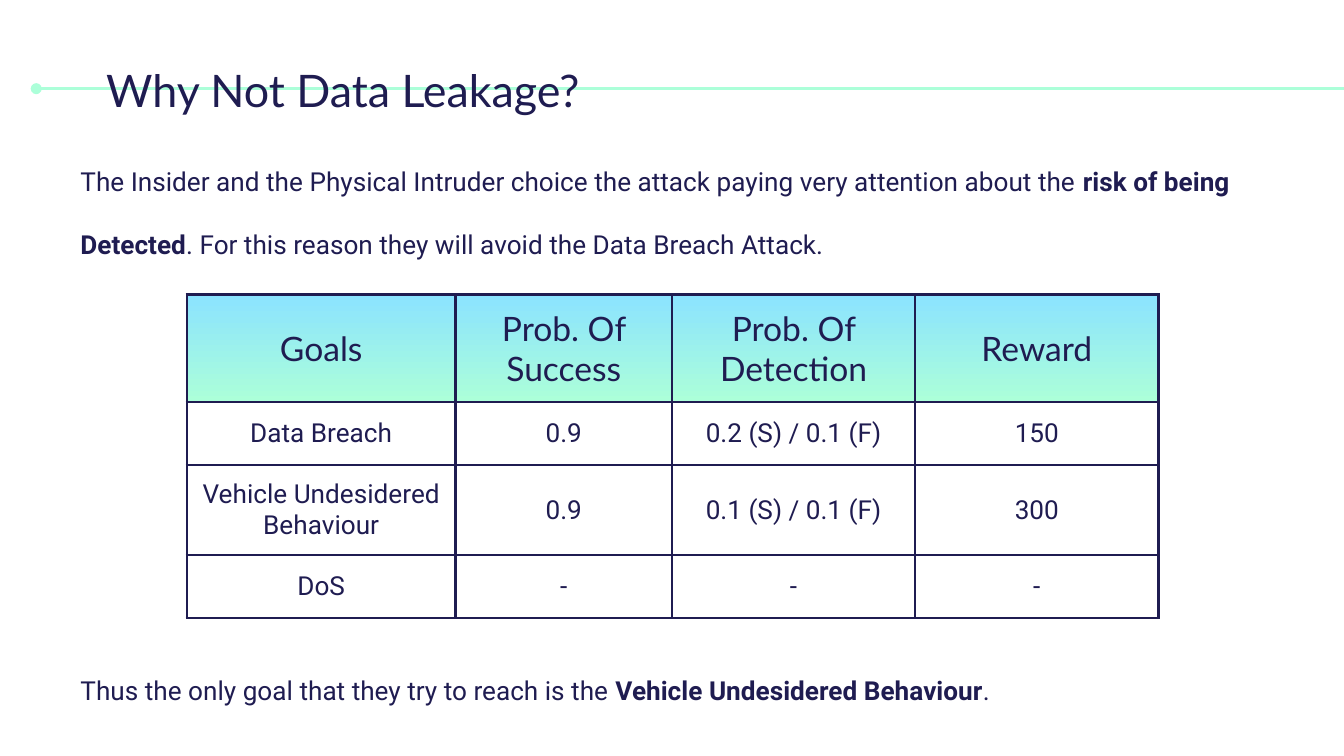
"""Build the slide explaining why data leakage is not a chosen goal."""
import pptx
import pptx.util
import pptx.dml.color
import pptx.enum.shapes
import pptx.enum.text
import pptx.oxml
import pptx.oxml.ns

Inches = pptx.util.Inches
RGBColor = pptx.dml.color.RGBColor
NAVY = RGBColor(0x1F, 0x1C, 0x51)
MINT = RGBColor(0xAC, 0xFF, 0xD9)
SKY = RGBColor(0x8B, 0xE3, 0xFF)
WHITE = RGBColor(0xFF, 0xFF, 0xFF)
NAMESPACE = pptx.oxml.ns.nsdecls("a")
MIDDLE = pptx.enum.text.MSO_ANCHOR.MIDDLE
CENTER = pptx.enum.text.PP_ALIGN.CENTER
LEFT = pptx.enum.text.PP_ALIGN.LEFT
MARGINS = {f"margin_{side}": Inches(0.1) for side in ("left", "right", "top", "bottom")}
TITLE_FONT = {"name": "Lato", "size": pptx.util.Pt(24)}
HEADER_FONT = {"name": "Lato", "size": pptx.util.Pt(18)}
BODY_FONT = {"name": "Roboto", "size": pptx.util.Pt(14)}


def set_attributes(target, values):
    for name, value in values.items():
        setattr(target, name, value)


def add_runs(paragraph, font, alignment, *pieces):
    paragraph.alignment = alignment
    for index, piece in enumerate(pieces):
        run = paragraph.add_run()
        run.text = piece
        set_attributes(run.font, {**font, "bold": index % 2 == 1})
        run.font.color.rgb = NAVY


presentation = pptx.Presentation()
set_attributes(presentation, {"slide_width": Inches(10), "slide_height": Inches(10 * 9 / 16)})
slide = presentation.slides.add_slide(presentation.slide_layouts[5])

title = slide.shapes.title
set_attributes(title, {"left": Inches(0.69), "top": Inches(0.37),
                       "width": Inches(6.65), "height": Inches(0.59)})
set_attributes(title.text_frame, {**MARGINS, "word_wrap": True, "vertical_anchor": MIDDLE,
                                  "auto_size": pptx.enum.text.MSO_AUTO_SIZE.NONE})
add_runs(title.text_frame.paragraphs[0], TITLE_FONT, LEFT, "Why Not Data Leakage?")

title_line = slide.shapes.add_connector(
    pptx.enum.shapes.MSO_CONNECTOR.STRAIGHT, Inches(0.27), Inches(0.66), Inches(10), Inches(0.66))
title_line.line.width = pptx.util.Pt(1.5)
title_line.line.color.rgb = MINT
title_line.line._get_or_add_ln().append(
    pptx.oxml.parse_xml(f'<a:headEnd {NAMESPACE} type="oval"/>'))
title_line._element.spPr.append(pptx.oxml.parse_xml(f"<a:effectLst {NAMESPACE}/>"))
title._element.addprevious(title_line._element)

introduction = slide.shapes.add_textbox(Inches(0.5), Inches(0.9), Inches(8.81), Inches(1.15))
set_attributes(introduction.text_frame, {**MARGINS, "word_wrap": True})
paragraph = introduction.text_frame.paragraphs[0]
set_attributes(paragraph, {"line_spacing": 2.0, "space_after": pptx.util.Pt(16)})
add_runs(paragraph, BODY_FONT, LEFT,
         "The Insider and the Physical Intruder choice the attack paying very attention about the ",
         "risk of being Detected",
         ". For this reason they will avoid the Data Breach Attack.")

conclusion = slide.shapes.add_textbox(Inches(0.5), Inches(4.97), Inches(8.72), Inches(0.57))
conclusion.text_frame.word_wrap = True
add_runs(conclusion.text_frame.paragraphs[0], BODY_FONT, LEFT,
         "Thus the only goal that they try to reach is the ",
         "Vehicle Undesidered Behaviour", ".")

goals = [
    ["Goals", "Prob. Of Success", "Prob. Of Detection", "Reward"],
    ["Data Breach", "0.9", "0.2 (S) / 0.1 (F)", "150"],
    ["Vehicle Undesidered Behaviour", "0.9", "0.1 (S) / 0.1 (F)", "300"],
    ["DoS", "-", "-", "-"],
]
column_widths = [2, 1.61, 1.81, 1.81]
row_heights = [0.8, 0.47, 0.67, 0.47]
table = slide.shapes.add_table(
    len(goals), len(column_widths), Inches(1.39), Inches(2.19),
    Inches(sum(column_widths)), Inches(sum(row_heights))).table
for column, width in zip(table.columns, column_widths):
    column.width = Inches(width)
for row, height in zip(table.rows, row_heights):
    row.height = Inches(height)

for row_index, values in enumerate(goals):
    for column_index, value in enumerate(values):
        cell = table.cell(row_index, column_index)
        set_attributes(cell, {**MARGINS, "vertical_anchor": MIDDLE})
        font = BODY_FONT if row_index else HEADER_FONT
        add_runs(cell.text_frame.paragraphs[0], font, CENTER, value)
        if row_index:
            cell.fill.solid()
            cell.fill.fore_color.rgb = WHITE
        else:
            cell.fill.gradient()
            cell.fill.gradient_angle = 270
            for stop, color in zip(cell.fill.gradient_stops, (SKY, MINT)):
                stop.color.rgb = color
        properties = cell._tc.get_or_add_tcPr()
        for position, edge in enumerate(("lnL", "lnR", "lnT", "lnB")):
            properties.insert(position, pptx.oxml.parse_xml(
                f'<a:{edge} {NAMESPACE} w="{pptx.util.Pt(1.5)}"><a:solidFill>'
                f'<a:srgbClr val="{NAVY}"/></a:solidFill></a:{edge}>'))

presentation.save("out.pptx")
